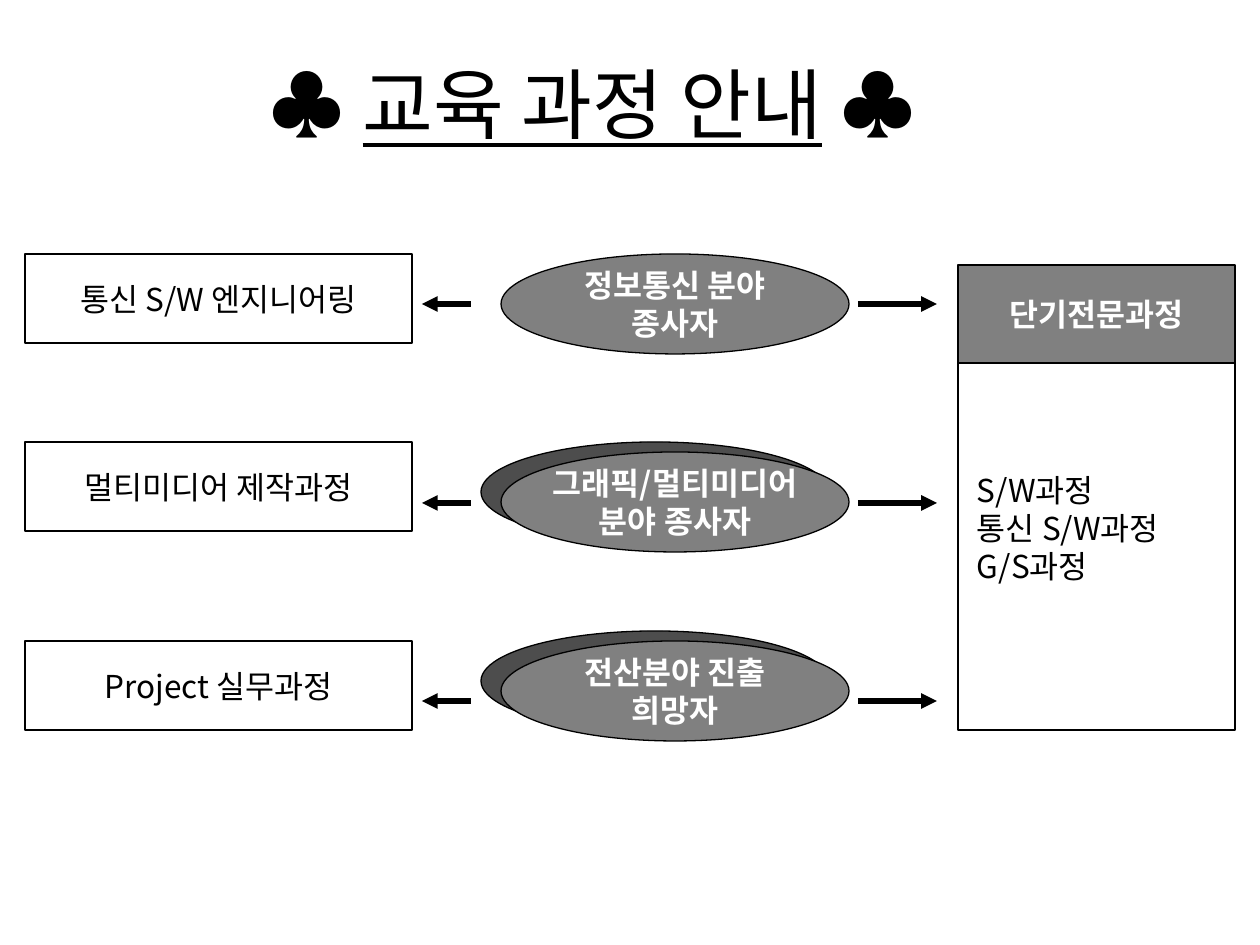
import pptx
import pptx.util
import pptx.dml.color
import pptx.enum.shapes
import pptx.enum.text
import pptx.oxml.ns
import lxml.etree

# Content
TITLE = [("♣ ", False), ("교육 과정 안내", True), (" ♣", False)]
# course, audience, then the tops of course box, audience ellipse, its back ellipse, arrow height
ROWS = [
    ("통신 S/W 엔지니어링", "정보통신 분야\n종사자", 254, 254, None, 304),
    ("멀티미디어 제작과정", "그래픽/멀티미디어\n분야 종사자", 442, 452, 442, 503),
    ("Project 실무과정", "전산분야 진출\n희망자", 641, 641, 631, 701),
]
PANEL_HEADING = "단기전문과정"
PANEL_COURSES = "S/W과정\n통신 S/W과정\nG/S과정"

THEME = {
    "font": "Noto Sans CJK KR",
    "title_size": 44, "text_size": 18,
    "outline": 0.75, "arrow": 3,
    "black": "000000", "white": "FFFFFF", "grey": "808080", "dark": "4D4D4D",
}
PIXEL = 914400 / 126
COURSE_LEFT, COURSE_SIZE = 25, (387, 89)
AUDIENCE_LEFT, BACK_LEFT, AUDIENCE_SIZE = 501, 481, (348, 100)
ARROWS = [(471, 422), (858, 937)]
PANEL_LEFT, PANEL_WIDTH = 958, 277
HEADING_TOP, LIST_TOP, LIST_BOTTOM = 265, 363, 730

RECTANGLE = pptx.enum.shapes.MSO_SHAPE.RECTANGLE
OVAL = pptx.enum.shapes.MSO_SHAPE.OVAL
CENTER = pptx.enum.text.PP_ALIGN.CENTER
LEFT = pptx.enum.text.PP_ALIGN.LEFT


def px(value):
    return pptx.util.Emu(round(value * PIXEL))


def color(name):
    return pptx.dml.color.RGBColor.from_string(THEME[name])


def format_run(run, size, color_name, bold=False):
    run.font.size = pptx.util.Pt(THEME[size])
    run.font.name = THEME["font"]
    run.font.bold = bold
    run.font.color.rgb = color(color_name)
    east_asian = lxml.etree.Element(pptx.oxml.ns.qn("a:ea"), typeface=THEME["font"])
    run.font._element.find(pptx.oxml.ns.qn("a:latin")).addnext(east_asian)


def place(shape, left, top, width, height):
    shape.left, shape.top = px(left), px(top)
    shape.width, shape.height = px(width), px(height)


def paint(shape, fill):
    shape.fill.solid()
    shape.fill.fore_color.rgb = color(fill)
    shape.line.color.rgb = color("black")
    shape.line.width = pptx.util.Pt(THEME["outline"])


def write(shape, text, color_name, bold=False, align=CENTER, wrap=False):
    frame = shape.text_frame
    frame.text = text
    frame.word_wrap = wrap
    frame.auto_size = pptx.enum.text.MSO_AUTO_SIZE.NONE
    frame.vertical_anchor = pptx.enum.text.MSO_ANCHOR.MIDDLE
    for paragraph in frame.paragraphs:
        paragraph.alignment = align
        for run in paragraph.runs:
            format_run(run, "text_size", color_name, bold)


def add_block(kind, left, top, size, fill):
    shape = slide.shapes.add_shape(kind, px(left), px(top), px(size[0]), px(size[1]))
    shape.shadow.inherit = False
    paint(shape, fill)
    return shape


def add_arrow(start, end, height):
    arrow = slide.shapes.add_connector(
        pptx.enum.shapes.MSO_CONNECTOR.STRAIGHT, px(start), px(height), px(end), px(height))
    arrow.line.color.rgb = color("black")
    arrow.line.width = pptx.util.Pt(THEME["arrow"])
    lxml.etree.SubElement(arrow.line._get_or_add_ln(), pptx.oxml.ns.qn("a:tailEnd"), type="triangle")
    lxml.etree.SubElement(arrow._element.spPr, pptx.oxml.ns.qn("a:effectLst"))


presentation = pptx.Presentation()
presentation.slide_width = pptx.util.Inches(10)
presentation.slide_height = pptx.util.Inches(7.5)
slide = presentation.slides.add_slide(presentation.slide_layouts[1])

# Title
title = slide.shapes.title
place(title, 233, 50, 719, 105)
title.text_frame.word_wrap = False
title.text_frame.auto_size = pptx.enum.text.MSO_AUTO_SIZE.NONE
title_paragraph = title.text_frame.paragraphs[0]
title_paragraph.alignment = CENTER
for words, underlined in TITLE:
    run = title_paragraph.add_run()
    run.text = words
    format_run(run, "title_size", "black")
    run.font.underline = underlined

# Short course panel
course_list = slide.placeholders[1]
place(course_list, PANEL_LEFT, LIST_TOP, PANEL_WIDTH, LIST_BOTTOM - LIST_TOP)
paint(course_list, "white")
write(course_list, PANEL_COURSES, "black", align=LEFT, wrap=True)
course_list.text_frame.margin_left = px(19)
course_list.text_frame.margin_bottom = px(44)
for paragraph in course_list.text_frame.paragraphs:
    paragraph.space_before = pptx.util.Pt(0)
    properties = paragraph._p.get_or_add_pPr()
    properties.set("marL", "0")
    properties.set("indent", "0")
    lxml.etree.SubElement(properties, pptx.oxml.ns.qn("a:buNone"))
heading = add_block(RECTANGLE, PANEL_LEFT, HEADING_TOP,
                    (PANEL_WIDTH, LIST_TOP - HEADING_TOP), "grey")
write(heading, PANEL_HEADING, "white", bold=True)

# Rows: course, audience and the arrows to both sides
for course, audience, course_top, audience_top, back_top, arrow_height in ROWS:
    if back_top is not None:
        add_block(OVAL, BACK_LEFT, back_top, AUDIENCE_SIZE, "dark")
    course_box = add_block(RECTANGLE, COURSE_LEFT, course_top, COURSE_SIZE, "white")
    write(course_box, course, "black")
    audience_oval = add_block(OVAL, AUDIENCE_LEFT, audience_top, AUDIENCE_SIZE, "grey")
    write(audience_oval, audience, "white", bold=True)
    for start, end in ARROWS:
        add_arrow(start, end, arrow_height)

presentation.save("out.pptx")
